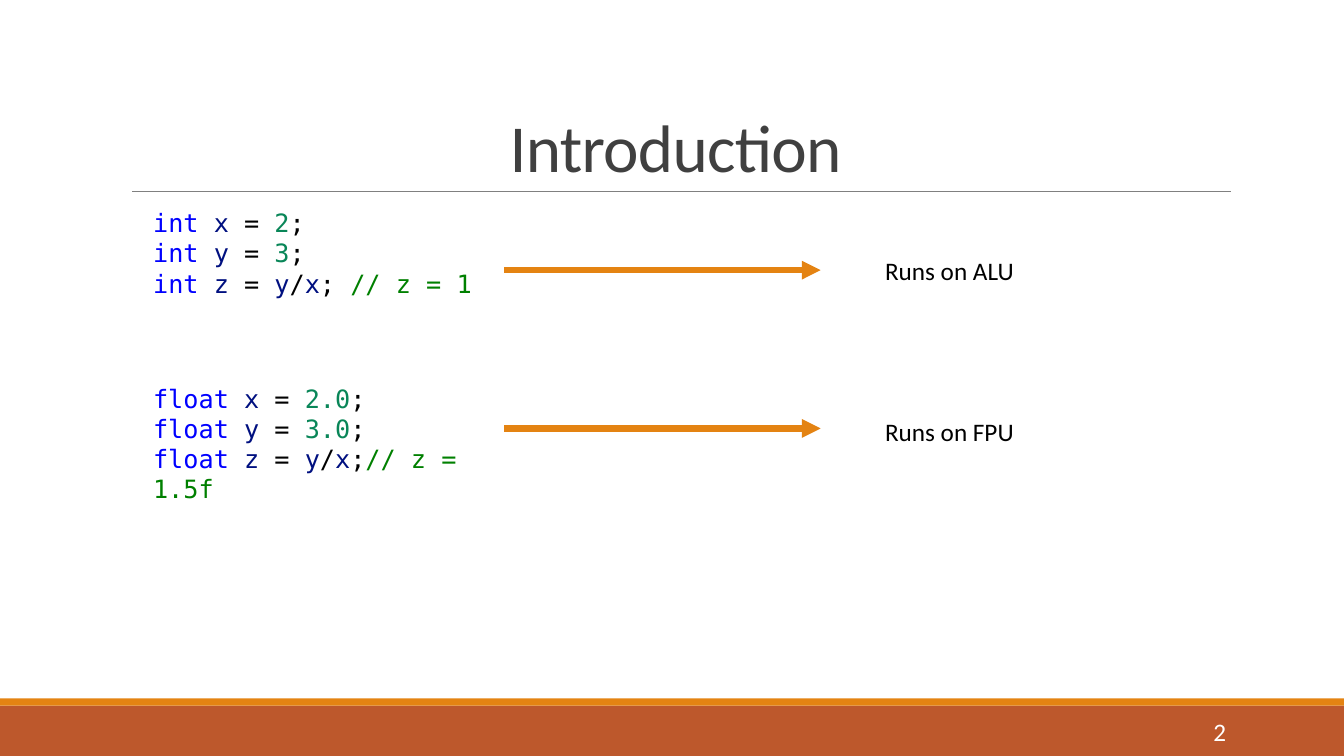
from dataclasses import dataclass

from lxml.etree import SubElement
from pptx import Presentation
from pptx.dml.color import RGBColor
from pptx.enum.shapes import MSO_CONNECTOR, MSO_SHAPE
from pptx.enum.text import MSO_ANCHOR, PP_ALIGN
from pptx.oxml.ns import qn
from pptx.util import Pt

EMU_PER_PX = 9144


@dataclass(frozen=True)
class Theme:
    """Colours, fonts and type sizes of the slide."""
    text_font: str = "Calibri"
    code_font: str = "DejaVu Sans Mono"
    title_size: int = 48
    body_size: int = 18
    title: str = "404040"
    rule: str = "808080"
    accent: str = "E48312"
    footer: str = "BD582C"
    white: str = "FFFFFF"
    black: str = "000000"
    keyword: str = "0000FF"
    variable: str = "001080"
    number: str = "098658"
    comment: str = "008000"


THEME = Theme()


def px(length):
    """Turn a length in px into EMU."""
    return length * EMU_PER_PX


def add_bar(slide, top, height, color):
    """Add a full-width bar."""
    shape = slide.shapes.add_shape(MSO_SHAPE.RECTANGLE, 0, px(top), px(1333), px(height))
    shape.shadow.inherit = False
    shape.fill.solid()
    shape.fill.fore_color.rgb = RGBColor.from_string(color)
    shape.line.fill.background()


def add_line(slide, left, right, y, color, width, arrow=False):
    """Add a horizontal line, with an arrowhead at its right end if asked."""
    connector = slide.shapes.add_connector(
        MSO_CONNECTOR.STRAIGHT, px(left), px(y), px(right), px(y))
    connector.line.color.rgb = RGBColor.from_string(color)
    connector.line.width = Pt(width)
    if arrow:
        SubElement(connector.line._get_or_add_ln(), qn("a:tailEnd"), type="triangle")
    SubElement(connector._element.spPr, qn("a:effectLst"))


def add_text(slide, paragraphs, box, font=THEME.text_font, size=THEME.body_size,
             align=PP_ALIGN.LEFT, anchor=MSO_ANCHOR.TOP, wrap=True,
             line_spacing=None, tracking=None):
    """Add a text box whose paragraphs are lists of (text, colour) runs."""
    frame = slide.shapes.add_textbox(*map(px, box)).text_frame
    frame.word_wrap = wrap
    frame.vertical_anchor = anchor
    for index, runs in enumerate(paragraphs):
        paragraph = frame.add_paragraph() if index else frame.paragraphs[0]
        paragraph.alignment = align
        paragraph.line_spacing = line_spacing
        for text, color in runs:
            run = paragraph.add_run()
            run.text = text
            run.font.name = font
            run.font.size = Pt(size)
            run.font.color.rgb = RGBColor.from_string(color)
            if tracking is not None:
                run.font._element.set("spc", str(tracking))


def declaration(kind, name, value):
    """Return the coloured runs of one variable declaration."""
    return [(f"{kind} ", THEME.keyword), (name, THEME.variable),
            (" = ", THEME.black), *value, (";", THEME.black)]


def add_code(slide, kind, x, y, comment, box):
    """Add the three-line division example for one number type."""
    quotient = [("y", THEME.variable), ("/", THEME.black), ("x", THEME.variable)]
    lines = [declaration(kind, "x", [(x, THEME.number)]),
             declaration(kind, "y", [(y, THEME.number)]),
             declaration(kind, "z", quotient) + [(comment, THEME.comment)]]
    add_text(slide, lines, box, font=THEME.code_font)


def main():
    """Build the slide and save it."""
    presentation = Presentation()
    presentation.slide_width, presentation.slide_height = px(1333), px(750)
    slide = presentation.slides.add_slide(presentation.slide_layouts[6])

    add_bar(slide, 700, 50, THEME.footer)
    add_bar(slide, 693, 7, THEME.accent)
    add_line(slide, 131, 1221, 190, THEME.rule, 0.5)
    add_text(slide, [[("Introduction", THEME.title)]], (120, 31, 1100, 159),
             size=THEME.title_size, align=PP_ALIGN.CENTER,
             anchor=MSO_ANCHOR.BOTTOM, line_spacing=0.85, tracking=-50)
    add_text(slide, [[("2", THEME.white)]], (1083, 706, 143, 40),
             align=PP_ALIGN.RIGHT, anchor=MSO_ANCHOR.MIDDLE)

    add_code(slide, "int", "2", "3", " // z = 1", (142, 201, 338, 101))
    add_code(slide, "float", "2.0", "3.0", "// z = 1.5f", (142, 375, 377, 101))
    for unit, arrow_y, label_top in (("ALU", 268, 248), ("FPU", 425, 408)):
        add_line(slide, 500, 814, arrow_y, THEME.accent, 4.5, arrow=True)
        add_text(slide, [[(f"Runs on {unit}", THEME.black)]],
                 (868, label_top, 149, 40), wrap=False)

    presentation.save("out.pptx")


if __name__ == "__main__":
    main()
